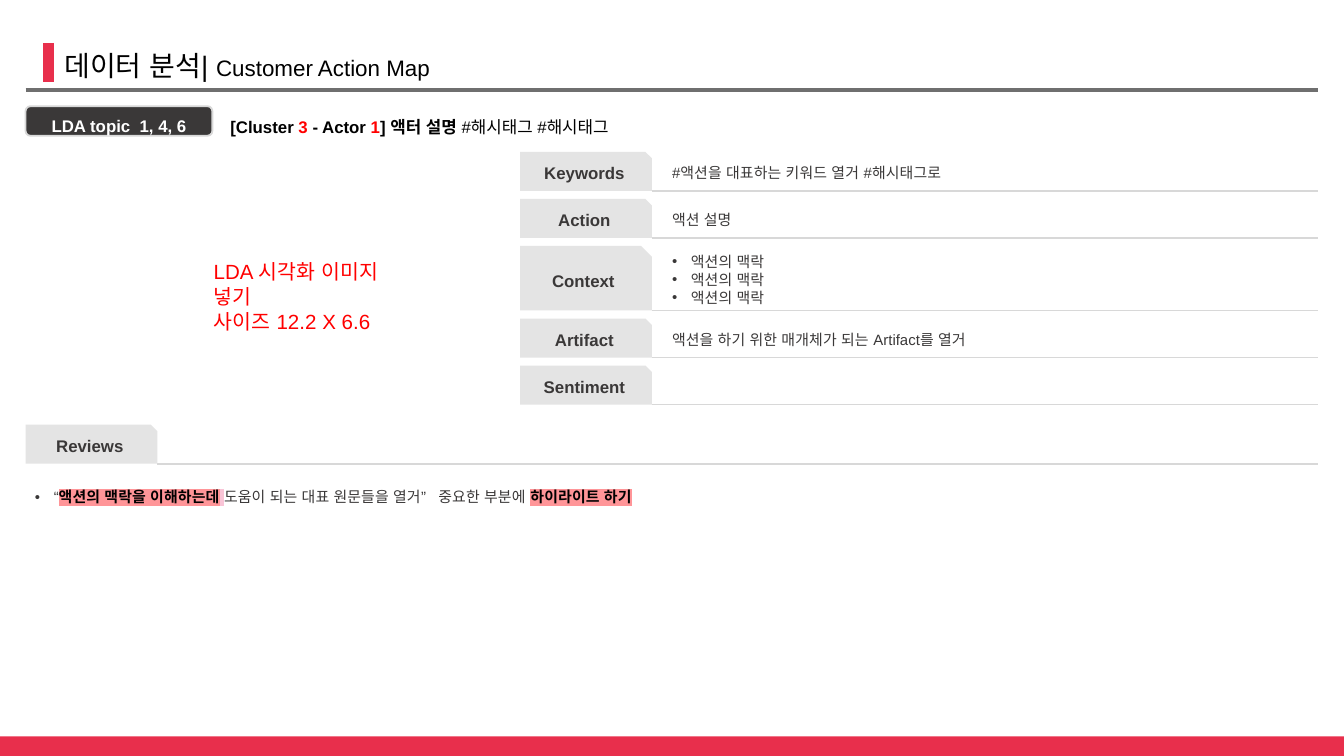
"""Build the Customer Action Map slide with its topic, action rows and reviews."""
from lxml import etree
from pptx import Presentation
from pptx import util as u
from pptx.dml.color import RGBColor
from pptx.enum import shapes, text
from pptx.oxml.ns import qn

FONT = "Arial"
RED, DARK, GREY, BLACK, WHITE = "E82F4C", "3A3838", "D8D8D8", "000000", "FFFFFF"
ALERT, MARK = "FF0000", "FF9598"
SNIP = shapes.MSO_SHAPE.SNIP_1_RECTANGLE
ROUND = shapes.MSO_SHAPE.ROUNDED_RECTANGLE
LEFT, RIGHT = 0.19, 9.81
LABEL_LEFT, LABEL_WIDTH, DETAIL_LEFT = 3.87, 0.98, 4.93
ROW_TOP, ROW_PITCH_GAP, ROW_HEIGHT = 1.13, 0.06, 0.29
REVIEWS_TOP = 3.16

TITLE = [[("데이터 분석| ", 15, BLACK), ("Customer Action Map", 12, BLACK)]]
TOPIC = [[("LDA topic  1, 4, 6", 9, WHITE, True)]]
ACTOR = [[
    ("[Cluster ", 9, BLACK, True),
    ("3", 9, ALERT, True),
    (" - Actor ", 9, BLACK, True),
    ("1", 9, ALERT, True),
    ("] 액터 설명 ", 9, BLACK, True),
    ("#해시태그 #해시태그", 9, BLACK),
]]
ROWS = [
    ("Keywords", ["#액션을 대표하는 키워드 열거 #해시태그로"], ROW_HEIGHT),
    ("Action", ["액션 설명"], ROW_HEIGHT),
    ("Context", ["액션의 맥락"] * 3, 0.48),
    ("Artifact", ["액션을 하기 위한 매개체가 되는 Artifact를 열거"], ROW_HEIGHT),
    ("Sentiment", [], ROW_HEIGHT),
]
REVIEW = [[
    ("“", 8, DARK),
    ("액션의 맥락을 이해하는데", 8, BLACK, True, MARK),
    (" ", 8, "2C579B", True, "F9C4D6"),
    ("도움이 되는 대표 원문들을 열거”   중요한 부분에 ", 8, DARK),
    ("하이라이트 하기", 8, BLACK, True, MARK),
]]
IMAGE_NOTE = [[("LDA 시각화 이미지 넣기", 11, ALERT)], [("사이즈 12.2 X 6.6", 11, ALERT)]]


def color(value):
    return RGBColor.from_string(value)


def add_color_node(parent, tag, value):
    node = etree.SubElement(parent, qn(tag))
    etree.SubElement(node, qn("a:srgbClr"), val=value)
    return node


def add_run(paragraph, content, size, ink, bold=False, highlight=None):
    run = paragraph.add_run()
    run.text = content
    run.font.name, run.font.size, run.font.bold = FONT, u.Pt(size), bold
    run.font.color.rgb = color(ink)
    properties = run.font._element
    for tag in ("a:ea", "a:cs"):
        etree.SubElement(properties, qn(tag), typeface=FONT)
    if highlight:
        node = add_color_node(properties, "a:highlight", highlight)
        properties.find(qn("a:solidFill")).addnext(node)


def add_bullet(paragraph):
    properties = paragraph._p.get_or_add_pPr()
    properties.set("marL", str(u.Inches(0.14)))
    properties.set("indent", str(u.Inches(-0.14)))
    add_color_node(properties, "a:buClr", DARK)
    etree.SubElement(properties, qn("a:buFont"), typeface=FONT)
    etree.SubElement(properties, qn("a:buChar"), char="•")


def write(shape, paragraphs, middle=True, center=False, spacing=None, bullets=False):
    frame = shape.text_frame
    frame.word_wrap = True
    frame.margin_left = frame.margin_right = u.Inches(0.07)
    frame.margin_top = frame.margin_bottom = u.Inches(0.04)
    frame.vertical_anchor = text.MSO_ANCHOR.MIDDLE if middle else text.MSO_ANCHOR.TOP
    for index, runs in enumerate(paragraphs):
        paragraph = frame.add_paragraph() if index else frame.paragraphs[0]
        paragraph.alignment = text.PP_ALIGN.CENTER if center else text.PP_ALIGN.LEFT
        if spacing:
            paragraph.line_spacing = spacing
        if bullets:
            add_bullet(paragraph)
        for run in runs:
            add_run(paragraph, *run)


def add_box(slide, kind, left, top, width, height, fill=None, line=None, alpha=None):
    shape = slide.shapes.add_shape(kind, *map(u.Inches, (left, top, width, height)))
    shape.shadow.inherit = False
    if fill:
        shape.fill.solid()
        shape.fill.fore_color.rgb = color(fill)
    else:
        shape.fill.background()
    if line:
        shape.line.color.rgb = color(line)
        shape.line.width = u.Pt(1)
    else:
        shape.line.fill.background()
    if alpha:
        node = shape._element.spPr.find(qn("a:solidFill"))[0]
        etree.SubElement(node, qn("a:alpha"), val=str(alpha * 1000))
    return shape


def add_line(slide, start, end, ink=GREY, width=1):
    connector = slide.shapes.add_connector(
        shapes.MSO_CONNECTOR.STRAIGHT, *map(u.Inches, (*start, *end)))
    connector.line.color.rgb = color(ink)
    connector.line.width = u.Pt(width)
    etree.SubElement(connector._element.spPr, qn("a:effectLst"))


def add_text(slide, left, top, width, height, paragraphs):
    box = slide.shapes.add_textbox(*map(u.Inches, (left, top, width, height)))
    write(box, paragraphs, middle=False)
    return box


def add_label(slide, left, top, height, name):
    label = add_box(slide, SNIP, left, top, LABEL_WIDTH, height, GREY, alpha=69)
    write(label, [[(name, 9, DARK, True)]], center=True)
    bottom = top + height
    add_line(slide, (left + LABEL_WIDTH, bottom), (RIGHT, bottom))


def main():
    presentation = Presentation()
    presentation.slide_width, presentation.slide_height = u.Inches(10), u.Inches(10 * 9 / 16)
    slide = presentation.slides.add_slide(presentation.slide_layouts[6])

    add_line(slide, (0.36, 0.32), (0.36, 0.61), RED, 6)
    title = add_text(slide, 0.41, 0.32, 7.41, 0.33, TITLE)
    title.text_frame.auto_size = text.MSO_AUTO_SIZE.SHAPE_TO_FIT_TEXT
    add_line(slide, (LEFT, 0.67), (RIGHT, 0.67), "6F6F6F", 2.25)

    topic = add_box(slide, ROUND, LEFT, 0.79, 1.39, 0.22, DARK, GREY)
    write(topic, TOPIC, center=True, spacing=1.5)
    write(add_box(slide, ROUND, 1.63, 0.76, 8.18, 0.29), ACTOR, spacing=1.5)

    top = ROW_TOP
    for name, details, height in ROWS:
        add_label(slide, LABEL_LEFT, top, height, name)
        if details:
            several = len(details) > 1
            detail_top = top - 0.03 if several else top
            detail = add_box(slide, SNIP, DETAIL_LEFT, detail_top, RIGHT - DETAIL_LEFT, height)
            paragraphs = [[(line, 8, DARK)] for line in details]
            write(detail, paragraphs, middle=not several, bullets=several)
        top += height + ROW_PITCH_GAP

    add_label(slide, LEFT, REVIEWS_TOP, ROW_HEIGHT, "Reviews")
    review = add_box(slide, SNIP, LEFT, 3.36, 9.63, 1.97)
    write(review, REVIEW, middle=False, spacing=1.5, bullets=True)

    add_text(slide, 1.52, 1.89, 1.62, 0.43, IMAGE_NOTE)
    add_box(slide, shapes.MSO_SHAPE.RECTANGLE, 0, 5.48, 10.01, 0.15, RED)
    presentation.save("out.pptx")


if __name__ == "__main__":
    main()
